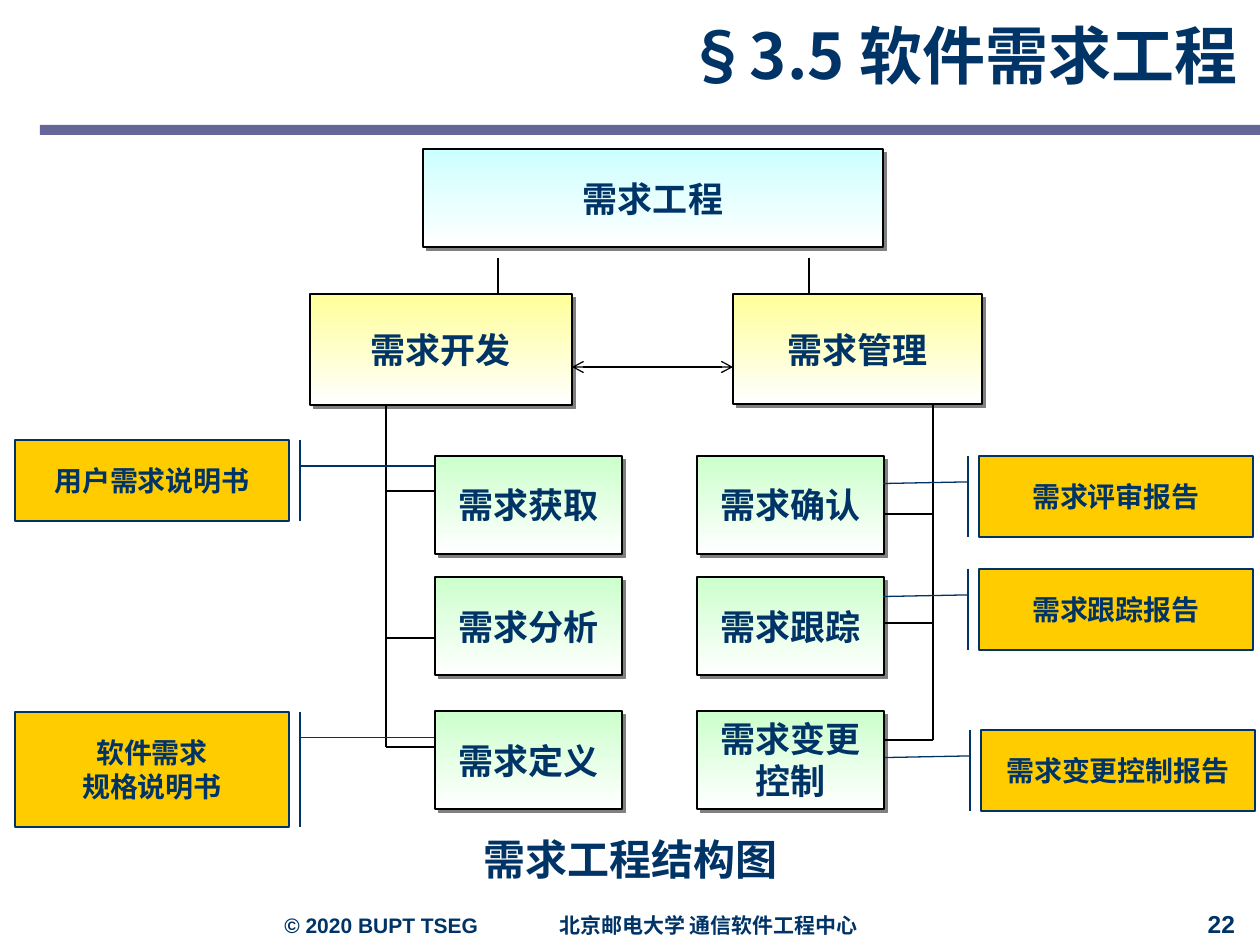
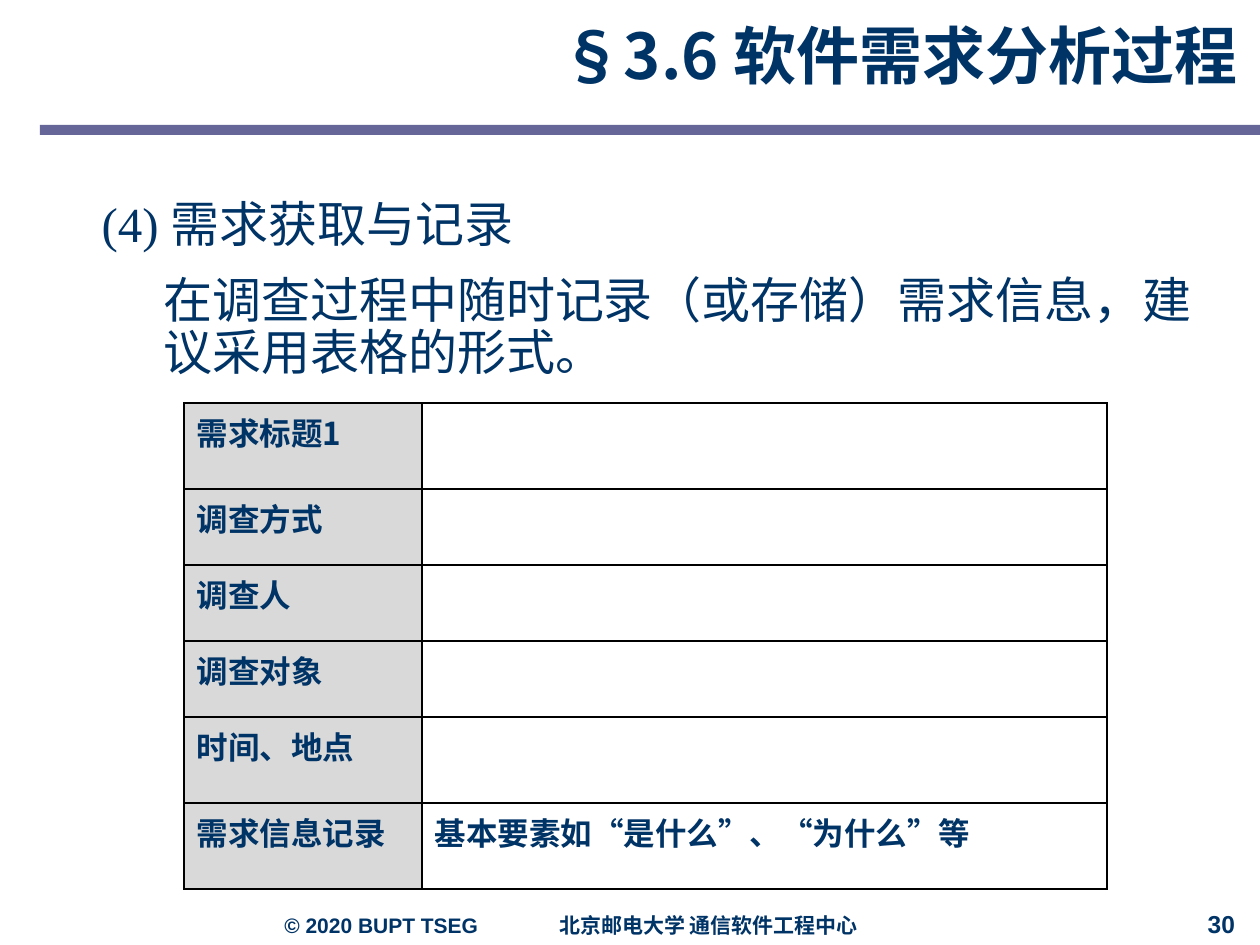
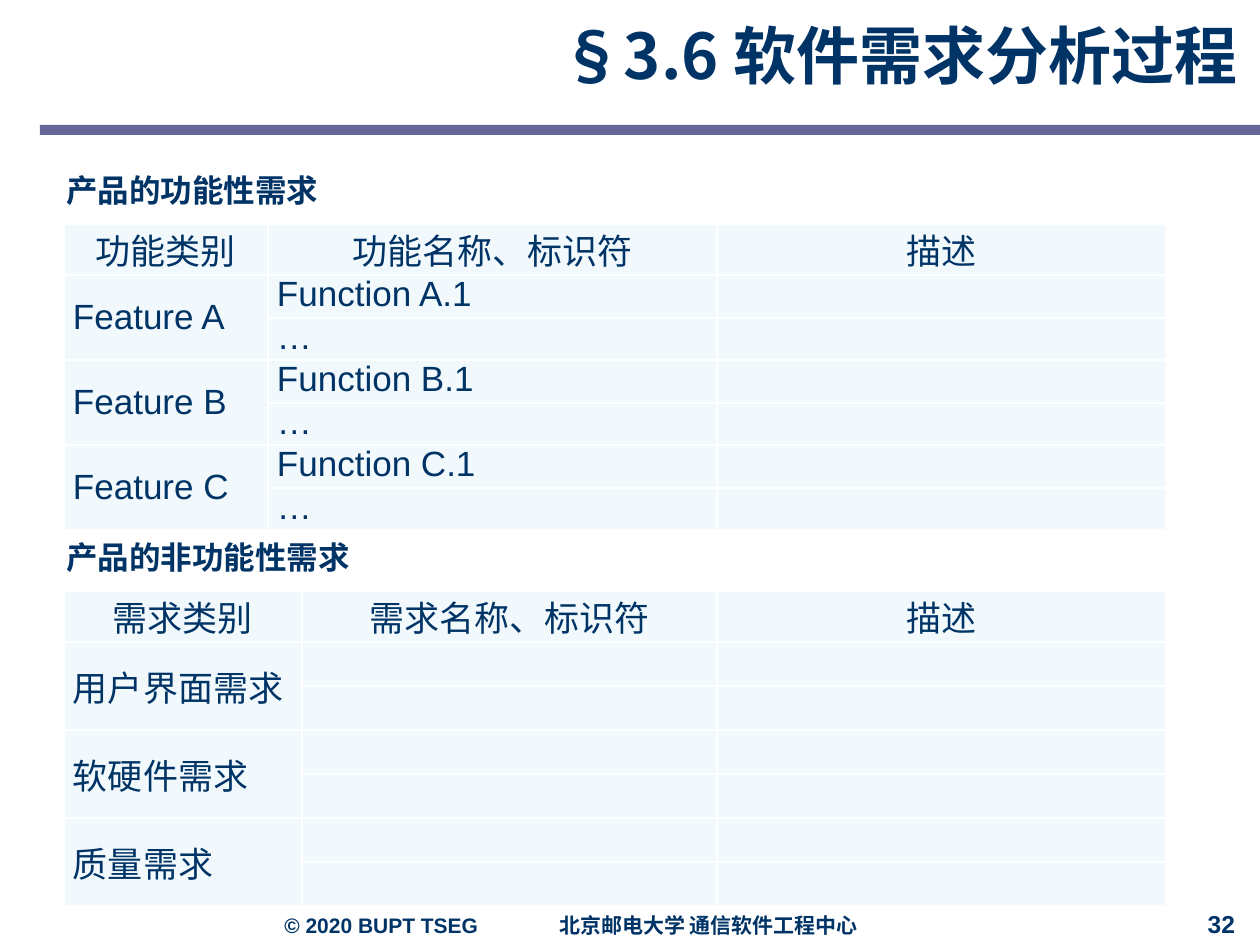
from dataclasses import dataclass
from typing import Any

from lxml.etree import SubElement
from pptx import Presentation
from pptx.dml.color import RGBColor
from pptx.enum.dml import MSO_LINE
from pptx.enum.shapes import MSO_CONNECTOR, MSO_SHAPE
from pptx.enum.text import MSO_ANCHOR, MSO_AUTO_SIZE, PP_ALIGN
from pptx.oxml.ns import qn
from pptx.util import Emu, Pt

NAVY = RGBColor(0x00, 0x33, 0x66)
BAND = RGBColor(0x66, 0x66, 0x99)
BLACK = RGBColor(0, 0, 0)
WHITE = RGBColor(0xFF, 0xFF, 0xFF)
SHADOW = RGBColor(0x80, 0x80, 0x80)
CYAN = RGBColor(0xCC, 0xFF, 0xFF)
YELLOW = RGBColor(0xFF, 0xFF, 0x99)
GREEN = RGBColor(0xCC, 0xFF, 0xCC)
AMBER = RGBColor(0xFF, 0xCC, 0x00)
GREY = RGBColor(0xD9, 0xD9, 0xD9)
PALE = RGBColor(0xF1, 0xF9, 0xFC)

CJK = "Noto Sans CJK SC"
MIDDLE = {"vertical_anchor": MSO_ANCHOR.MIDDLE, "word_wrap": True}
TOP = {"vertical_anchor": MSO_ANCHOR.TOP, "word_wrap": True}
CENTER = {"alignment": PP_ALIGN.CENTER}
RIGHT = {"alignment": PP_ALIGN.RIGHT}
JUSTIFY = {"alignment": PP_ALIGN.JUSTIFY}


@dataclass(frozen=True)
class Font:
    size: int
    name: str = CJK
    bold: bool = True


@dataclass(frozen=True)
class Box:
    text: str
    x: int
    y: int
    w: int
    h: int
    color: RGBColor


@dataclass(frozen=True)
class Callout:
    """A labelled box whose leader is given as y1, x1, y2, x2 in shares of the box."""
    text: str
    x: int
    y: int
    h: int
    leader: tuple[float, float, float, float]


@dataclass(frozen=True)
class Line:
    x1: int
    y1: int
    x2: int
    y2: int
    arrows: bool = False


@dataclass(frozen=True)
class Requirements:
    """A titled table whose first column spans two rows per category."""
    title: str
    y: int
    cols: tuple[int, ...]
    rows: list[int]
    heads: tuple[str, ...]
    categories: dict[str, tuple[str, str]]


TITLE_FONT = Font(36)
FOOTER_FONT = Font(12, "Arial")
NUMBER_FONT = Font(14, "Arial")
BOX_FONT = Font(20)
CALLOUT_FONT = Font(16)
CAPTION_FONT = Font(24)
BODY_FONT = Font(28, "Times New Roman", False)
LABEL_FONT = Font(18)
GRID_FONT = Font(20, "Arial", False)

# Structure diagram: two columns of three steps hang from two trunks
STEP_W, STEP_H = 187, 98
STEP_YS = (456, 577, 711)
LEFT_X, RIGHT_X = 435, 697
LEFT_TRUNK, RIGHT_TRUNK = 386, 933
LEFT_BRANCHES, RIGHT_BRANCHES = (491, 638, 747), (514, 623, 740)
LEFT_STEPS = ("需求获取", "需求分析", "需求定义")
RIGHT_STEPS = ("需求确认", "需求跟踪", "需求变更控制")
BOXES = [
    Box("需求工程", 423, 149, 460, 98, CYAN),
    Box("需求开发", 310, 294, 262, 111, YELLOW),
    Box("需求管理", 733, 294, 249, 110, YELLOW),
] + [
    Box(text, x, y, STEP_W, STEP_H, GREEN)
    for x, steps in ((LEFT_X, LEFT_STEPS), (RIGHT_X, RIGHT_STEPS))
    for text, y in zip(steps, STEP_YS)
]
LINES = [
    Line(498, 258, 498, 294),
    Line(809, 258, 809, 294),
    Line(572, 367, 733, 367, arrows=True),
    Line(LEFT_TRUNK, 405, LEFT_TRUNK, LEFT_BRANCHES[-1]),
    Line(RIGHT_TRUNK, 404, RIGHT_TRUNK, RIGHT_BRANCHES[-1]),
    *(Line(LEFT_TRUNK, y, LEFT_X, y) for y in LEFT_BRANCHES),
    *(Line(RIGHT_X + STEP_W, y, RIGHT_TRUNK, y) for y in RIGHT_BRANCHES),
]
CALLOUT_W = 274
TO_LEFT = (0.32, -0.04, 0.34, -0.35)
CALLOUTS = [
    Callout("用户需求说明书", 15, 440, 81, (0.32, 1.04, 0.32, 1.53)),
    Callout("软件需求\n规格说明书", 15, 712, 115, (0.22, 1.04, 0.22, 1.53)),
    Callout("需求评审报告", 979, 456, 81, TO_LEFT),
    Callout("需求跟踪报告", 979, 569, 81, TO_LEFT),
    Callout("需求变更控制报告", 981, 730, 81, TO_LEFT),
]

RECORD = {
    "需求标题1": ("", 86),
    "调查方式": ("", 76),
    "调查人": ("", 76),
    "调查对象": ("", 76),
    "时间、地点": ("", 86),
    "需求信息记录": ("基本要素如“是什么”、“为什么”等", 86),
}

REQUIREMENTS = [
    Requirements(
        "产品的功能性需求", 174, (204, 449, 449), [51] + [43, 42] * 3,
        ("功能类别", "功能名称、标识符", "描述"),
        {f"Feature {c}": (f"Function {c}.1", "…") for c in "ABC"},
    ),
    Requirements(
        "产品的非功能性需求", 541, (238, 415, 449), [51] + [44] * 6,
        ("需求类别", "需求名称、标识符", "描述"),
        {name: ("", "") for name in ("用户界面需求", "软硬件需求", "质量需求")},
    ),
]


def px(n: int) -> Emu:
    return Emu(round(n * 914400 / 126))


def apply(target: Any, values: dict[str, Any]) -> None:
    for name, value in values.items():
        setattr(target, name, value)


def place(sp: Any, x: int, y: int, w: int, h: int) -> None:
    apply(sp, {"left": px(x), "top": px(y), "width": px(w), "height": px(h)})


def write(tf: Any, text: str, font: Font, para: dict[str, Any] = {}) -> None:
    """Fill a text frame, one paragraph for each line of text."""
    for i, line in enumerate(text.split("\n")):
        p = tf.add_paragraph() if i else tf.paragraphs[0]
        apply(p, para)
        r = p.add_run()
        r.text = line
        apply(r.font, {"size": Pt(font.size), "name": font.name, "bold": font.bold})
        r.font.color.rgb = NAVY
        SubElement(r._r.get_or_add_rPr(), qn("a:ea")).set("typeface", CJK)


def add_text(s: Any, area: tuple[int, int, int, int], text: str, font: Font,
             frame: dict[str, Any], para: dict[str, Any] = {}) -> Any:
    tf = s.shapes.add_textbox(*map(px, area)).text_frame
    apply(tf, frame)
    write(tf, text, font, para)
    return tf


def add_slide(prs: Any, layout: int, title: str, number: int) -> Any:
    s = prs.slides.add_slide(prs.slide_layouts[layout])
    place(s.shapes.title, 354, 0, 898, 125)
    tf = s.shapes.title.text_frame
    apply(tf, MIDDLE | {
        "auto_size": MSO_AUTO_SIZE.NONE, "margin_left": px(25), "margin_right": px(15),
        "margin_top": px(5), "margin_bottom": px(5)})
    write(tf, title, TITLE_FONT, RIGHT | {"line_spacing": 0.75})

    band = s.shapes.add_shape(MSO_SHAPE.RECTANGLE, *map(px, (40, 125, 1220, 10)))
    band.shadow.inherit = False
    band.fill.solid()
    band.fill.fore_color.rgb = BAND
    band.line.fill.background()

    tf = add_text(s, (272, 905, 615, 40), "© 2020 BUPT TSEG\t北京邮电大学 通信软件工程中心",
                  FOOTER_FONT, MIDDLE)
    tabs = SubElement(tf.paragraphs[0]._p.get_or_add_pPr(), qn("a:tabLst"))
    apply_xml(SubElement(tabs, qn("a:tab")), pos=px(275), algn="l")
    add_text(s, (809, 908, 451, 37), str(number), NUMBER_FONT,
             MIDDLE | {"margin_right": px(25)}, RIGHT | {"line_spacing": 0.85})
    return s


def apply_xml(element: Any, **attributes: Any) -> None:
    for name, value in attributes.items():
        element.set(name, str(value))


def add_box(s: Any, box: Box) -> None:
    sp = s.shapes.add_shape(MSO_SHAPE.RECTANGLE, *map(px, (box.x, box.y, box.w, box.h)))
    sp.fill.gradient()
    sp.fill.gradient_angle = 270
    for stop, color in zip(sp.fill.gradient_stops, (box.color, WHITE)):
        stop.color.rgb = color
    sp.line.color.rgb = BLACK
    sp.line.width = Pt(0.75)
    sp.shadow.inherit = False
    effects = sp._element.spPr.find(qn("a:effectLst"))
    shadow = SubElement(effects, qn("a:outerShdw"))
    apply_xml(shadow, blurRad=0, dist=Pt(2.8), dir=45 * 60000, algn="ctr", rotWithShape=0)
    SubElement(shadow, qn("a:srgbClr")).set("val", str(SHADOW))
    apply(sp.text_frame, MIDDLE)
    write(sp.text_frame, box.text, BOX_FONT, CENTER)


def add_line(s: Any, line: Line) -> None:
    c = s.shapes.add_connector(MSO_CONNECTOR.STRAIGHT,
                               *map(px, (line.x1, line.y1, line.x2, line.y2)))
    c.line.color.rgb = BLACK
    c.line.width = Pt(0.75)
    c.line.dash_style = MSO_LINE.SOLID
    if line.arrows:
        for end in ("a:headEnd", "a:tailEnd"):
            SubElement(c.line._get_or_add_ln(), qn(end)).set("type", "arrow")
    SubElement(c._element.spPr, qn("a:effectLst"))


def add_callout(s: Any, callout: Callout) -> None:
    sp = s.shapes.add_shape(MSO_SHAPE.LINE_CALLOUT_1_BORDER_AND_ACCENT_BAR,
                            *map(px, (callout.x, callout.y, CALLOUT_W, callout.h)))
    for i, value in enumerate(callout.leader):
        sp.adjustments[i] = value
    sp.shadow.inherit = False
    sp.fill.solid()
    sp.fill.fore_color.rgb = AMBER
    sp.line.color.rgb = NAVY
    sp.line.width = Pt(0.75)
    apply(sp.text_frame, MIDDLE)
    write(sp.text_frame, callout.text, CALLOUT_FONT, CENTER)


def add_grid(s: Any, x: int, y: int, cols: tuple[int, ...], rows: list[int]) -> Any:
    """Add an empty table without banding."""
    table = s.shapes.add_table(len(rows), len(cols),
                               *map(px, (x, y, sum(cols), sum(rows)))).table
    apply(table, {"first_row": False, "horz_banding": False})
    for column, w in zip(table.columns, cols):
        column.width = px(w)
    for row, h in zip(table.rows, rows):
        row.height = px(h)
    return table


def format_cell(cell: Any, border: RGBColor, fill: RGBColor | None) -> None:
    tc_pr = cell._tc.get_or_add_tcPr()
    for side in ("a:lnL", "a:lnR", "a:lnT", "a:lnB"):
        ln = SubElement(tc_pr, qn(side))
        ln.set("w", str(Pt(1)))
        SubElement(SubElement(ln, qn("a:solidFill")), qn("a:srgbClr")).set("val", str(border))
    if fill is None:
        cell.fill.background()
    else:
        cell.fill.solid()
        cell.fill.fore_color.rgb = fill


def add_record_table(s: Any) -> None:
    table = add_grid(s, 184, 403, (238, 685), [h for _, h in RECORD.values()])
    for i, (label, (content, _)) in enumerate(RECORD.items()):
        for j, (text, fill) in enumerate(((label, GREY), (content, None))):
            cell = table.cell(i, j)
            format_cell(cell, BLACK, fill)
            if text:
                write(cell.text_frame, text, LABEL_FONT)


def add_requirements(s: Any, req: Requirements) -> None:
    add_text(s, (54, req.y, 546, 42), req.title, LABEL_FONT, TOP,
             JUSTIFY | {"line_spacing": 0.75})
    table = add_grid(s, 64, req.y + 50, req.cols, req.rows)
    for cell in table.iter_cells():
        format_cell(cell, WHITE, PALE)
        apply(cell, {"margin_left": px(9), "margin_right": px(9),
                     "margin_top": 0, "margin_bottom": 0})
    for j, head in enumerate(req.heads):
        write(table.cell(0, j).text_frame, head, GRID_FONT, CENTER)
    for i, (category, names) in enumerate(req.categories.items()):
        top = 1 + 2 * i
        cell = table.cell(top, 0)
        cell.merge(table.cell(top + 1, 0))
        cell.vertical_anchor = MSO_ANCHOR.MIDDLE
        write(cell.text_frame, category, GRID_FONT, JUSTIFY)
        for k, name in enumerate(names):
            if name:
                write(table.cell(top + k, 1).text_frame, name, GRID_FONT, JUSTIFY)


def build_structure(prs: Any) -> None:
    s = add_slide(prs, 5, "§3.5 软件需求工程", 22)
    add_text(s, (471, 827, 343, 63), "需求工程结构图", CAPTION_FONT,
             MIDDLE | {"word_wrap": False})
    for box in BOXES:
        add_box(s, box)
    for line in LINES:
        add_line(s, line)
    for callout in CALLOUTS:
        add_callout(s, callout)


def build_record(prs: Any) -> None:
    s = add_slide(prs, 1, "§3.6 软件需求分析过程", 30)
    body = s.placeholders[1]
    place(body, 89, 194, 1149, 200)
    tf = body.text_frame
    apply(tf, TOP | {"auto_size": MSO_AUTO_SIZE.NONE})
    write(tf, "(4) 需求获取与记录\n在调查过程中随时记录（或存储）需求信息，建议采用表格的形式。",
          BODY_FONT, {"line_spacing": Pt(30)})
    for p, before, indent in zip(tf.paragraphs, (0, 13), (-62, 0)):
        p.space_before = Pt(before)
        p_pr = p._p.get_or_add_pPr()
        apply_xml(p_pr, marL=px(62), indent=px(indent))
        SubElement(p_pr, qn("a:buNone"))
    add_record_table(s)


def build_requirements(prs: Any) -> None:
    s = add_slide(prs, 5, "§3.6 软件需求分析过程", 32)
    for req in REQUIREMENTS:
        add_requirements(s, req)


def main() -> None:
    prs = Presentation()
    apply(prs, {"slide_width": px(1260), "slide_height": px(945)})
    build_structure(prs)
    build_record(prs)
    build_requirements(prs)
    prs.save("out.pptx")


if __name__ == "__main__":
    main()
